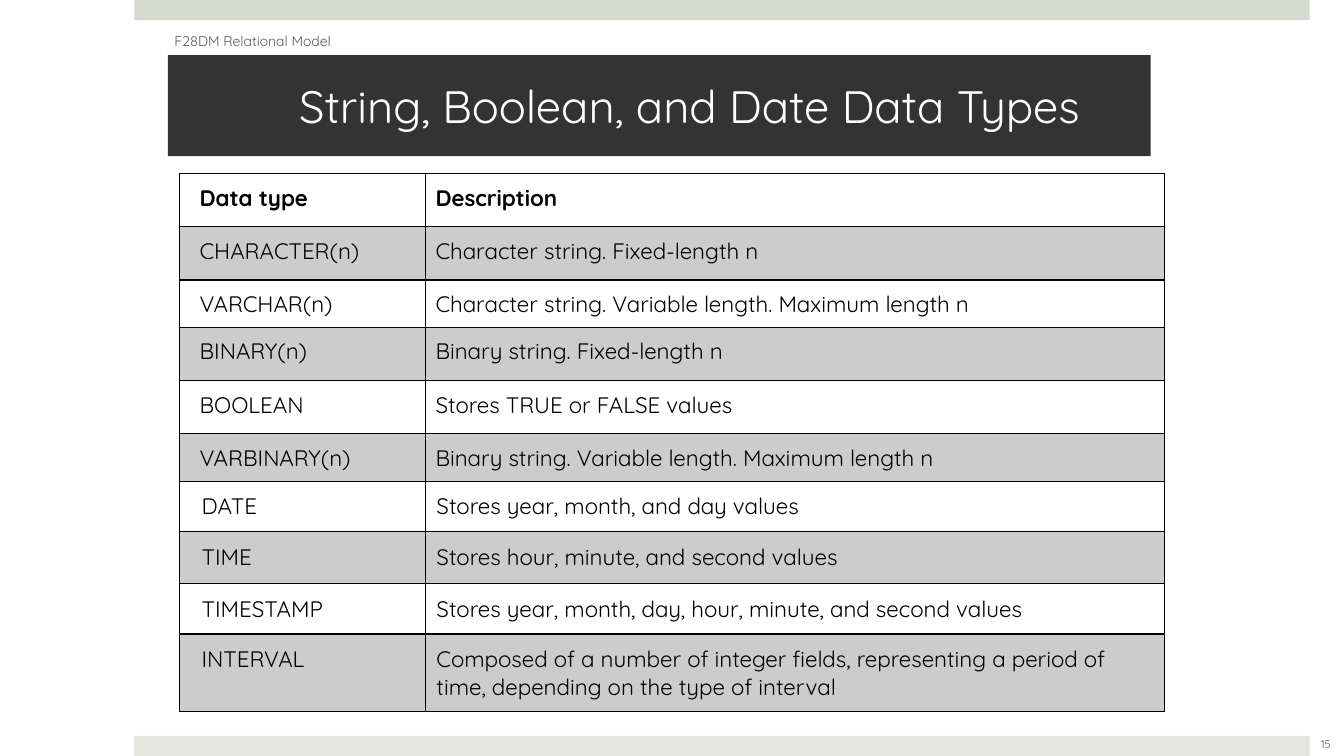
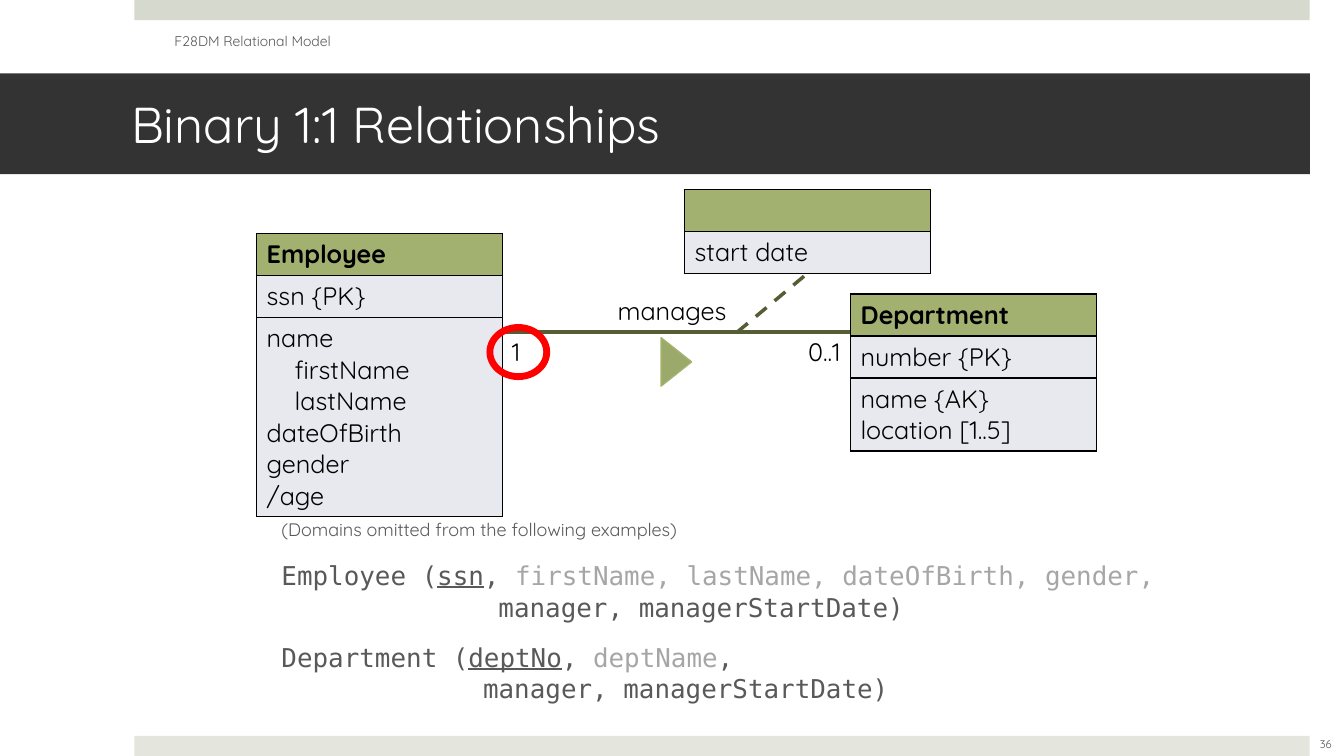
from dataclasses import dataclass

from lxml.etree import SubElement
from pptx import Presentation
from pptx.dml.color import RGBColor
from pptx.enum.dml import MSO_LINE
from pptx.enum.shapes import MSO_CONNECTOR, MSO_SHAPE
from pptx.enum.text import MSO_ANCHOR, PP_ALIGN
from pptx.oxml.ns import qn
from pptx.util import Pt

COLORS = {
    "top": "D6D9CD", "foot": "E4E6DE", "title": "333333",
    "white": "FFFFFF", "black": "000000", "text": "595959",
    "pale": "A6A6A6", "stripe": "CCCCCC",
    "head": "A2B170", "body": "E8E9EF",
    "link": "545D33", "arrow": "9BA96B", "edge": "A3B36E", "ring": "FF0000",
}
SANS, MONO = "Quicksand", "DejaVu Sans Mono"


@dataclass
class Box:
    x: float
    y: float
    w: float
    h: float

    def place(self) -> tuple:
        return Pt(self.x), Pt(self.y), Pt(self.w), Pt(self.h)


@dataclass
class Label:
    text: str
    box: Box
    size: float = 18
    color: str = "black"
    align: PP_ALIGN = PP_ALIGN.LEFT
    anchor: MSO_ANCHOR = MSO_ANCHOR.TOP


@dataclass
class Entity:
    name: str
    x: float
    y: float
    blocks: list  # lists of lines; a leading tab marks a nested line


@dataclass
class Schema:
    head: str
    key: str
    plain: str
    faded: str
    end: str
    tab: float


def tone(name: str) -> RGBColor:
    return RGBColor.from_string(COLORS[name])


def style(para, size: float, color: str, face: str = SANS, bold: bool = False) -> None:
    font = para.font
    font.size, font.name, font.bold = Pt(size), face, bold
    font.color.rgb = tone(color)


def pad(item, left: float, top: float, right: float, foot: float) -> None:
    item.margin_left, item.margin_top = Pt(left), Pt(top)
    item.margin_right, item.margin_bottom = Pt(right), Pt(foot)


def add_form(slide, kind: MSO_SHAPE, box: Box, fill: str, edge: str = ""):
    form = slide.shapes.add_shape(kind, *box.place())
    form.shadow.inherit = False
    form.fill.solid()
    form.fill.fore_color.rgb = tone(fill)
    if edge:
        form.line.color.rgb = tone(edge)
        form.line.width = Pt(1)
    else:
        form.line.fill.background()
    return form


def add_label(slide, label: Label) -> None:
    frame = slide.shapes.add_textbox(*label.box.place()).text_frame
    frame.word_wrap = True
    frame.vertical_anchor = label.anchor
    para = frame.paragraphs[0]
    para.text, para.alignment = label.text, label.align
    style(para, label.size, label.color)


def add_link(slide, start: tuple, end: tuple):
    link = slide.shapes.add_connector(
        MSO_CONNECTOR.STRAIGHT, *(Pt(v) for v in start + end))
    link.line.color.rgb = tone("link")
    link.line.width = Pt(2.5)
    SubElement(link._element.spPr, qn("a:effectLst"))
    return link


def add_grid(slide, x: float, y: float, cols: list, rows: list):
    """Add a plain table without a banded style."""
    frame = slide.shapes.add_table(
        len(rows), len(cols), Pt(x), Pt(y), Pt(sum(cols)), Pt(sum(rows)))
    grid = frame.table
    grid.first_row = grid.horz_banding = False
    for col, width in zip(grid.columns, cols):
        col.width = Pt(width)
    for row, height in zip(grid.rows, rows):
        row.height = Pt(height)
    return frame


def fill_cell(cell, lines: list, size: float, fill: str, bold: bool) -> None:
    """Draw black borders, then the fill and the lines of text."""
    props = cell._tc.get_or_add_tcPr()
    for side in ("lnL", "lnR", "lnT", "lnB"):
        edge = SubElement(props, qn(f"a:{side}"), w=str(Pt(1)))
        paint = SubElement(edge, qn("a:solidFill"))
        SubElement(paint, qn("a:srgbClr"), val=COLORS["black"])
    cell.fill.solid()
    cell.fill.fore_color.rgb = tone(fill)
    frame = cell.text_frame
    for i, line in enumerate(lines):
        para = frame.add_paragraph() if i else frame.paragraphs[0]
        if line.startswith("\t"):
            para._p.get_or_add_pPr().set("marL", str(Pt(20)))
        para.text = line.strip()
        style(para, size, "black", bold=bold)


def add_entity(slide, ent: Entity):
    rows = [30] + [max(30, 22.5 * len(block) + 7.2) for block in ent.blocks]
    frame = add_grid(slide, ent.x, ent.y, [175.5], rows)
    for i, block in enumerate([[ent.name]] + ent.blocks):
        fill_cell(frame.table.cell(i, 0), block, 18,
                  "body" if i else "head", bold=not i)
    return frame


def add_schema(para, schema: Schema) -> None:
    """Write one relation, its second line set by a tab stop."""
    props = para._p.get_or_add_pPr()
    stops = SubElement(props, qn("a:tabLst"))
    SubElement(stops, qn("a:tab"), pos=str(Pt(schema.tab)), algn="l")
    para.space_before = Pt(14)
    style(para, 18.5, "text", MONO)
    para.add_run().text = schema.head
    key = para.add_run()
    key.text, key.font.underline = schema.key, True
    para.add_run().text = schema.plain
    faded = para.add_run()
    faded.text = schema.faded
    faded.font.color.rgb = tone("pale")
    if schema.end:
        para.add_run().text = schema.end
    para.add_line_break()
    para.add_run().text = "\tmanager, managerStartDate)"


def new_slide(deck, title: str, box: Box, size: float, number: int):
    """Start a slide with its bands, title, header and number."""
    slide = deck.slides.add_slide(deck.slide_layouts[6])
    for y, fill in ((0, "top"), (525.6, "foot")):
        add_form(slide, MSO_SHAPE.RECTANGLE, Box(96, y, 839.5, 14.4), fill)
    frame = add_form(slide, MSO_SHAPE.RECTANGLE, box, "title").text_frame
    frame.word_wrap = True
    frame.vertical_anchor = MSO_ANCHOR.MIDDLE
    pad(frame, 93.6, 3.6, 21.6, 3.6)
    para = frame.paragraphs[0]
    para.text, para.alignment = title, PP_ALIGN.LEFT
    style(para, size, "white")
    add_label(slide, Label("F28DM Relational Model", Box(117.5, 15, 304, 29),
                           10, "text", anchor=MSO_ANCHOR.MIDDLE))
    add_label(slide, Label(str(number), Box(923, 517, 48, 29), 8, "text",
                           PP_ALIGN.CENTER, MSO_ANCHOR.MIDDLE))
    return slide


TYPES = [
    ("Data type", "Description", 38),
    ("CHARACTER(n)", "Character string. Fixed-length n", 38),
    ("VARCHAR(n)", "Character string. Variable length. Maximum length n", 34),
    ("BINARY(n)", "Binary string. Fixed-length n", 38),
    ("BOOLEAN", "Stores TRUE or FALSE values", 38),
    ("VARBINARY(n)", "Binary string. Variable length. Maximum length n", 34),
    ("DATE", "Stores year, month, and day values", 36),
    ("TIME", "Stores hour, minute, and second values", 37),
    ("TIMESTAMP", "Stores year, month, day, hour, minute, and second values", 36),
    ("INTERVAL", "Composed of a number of integer fields, representing a period "
     "of time, depending on the type of interval", 55.5),
]
SCHEMAS = [
    Schema("Employee (", "ssn", ", ",
           "firstName, lastName, dateOfBirth, gender,", "", 155),
    Schema("Department (", "deptNo", ", ", "deptName", ",", 144),
]


def draw_types(deck) -> None:
    slide = new_slide(deck, "String, Boolean, and Date Data Types",
                      Box(120, 39.5, 702, 72), 32.4, 15)
    grid = add_grid(slide, 128.2, 124, [175.7, 527.8],
                    [row[2] for row in TYPES]).table
    for i, row in enumerate(TYPES):
        gap = 7.2 if i < 6 else 7.9
        for j, text in enumerate(row[:2]):
            cell = grid.cell(i, j)
            fill_cell(cell, [text], 16, "stripe" if i % 2 else "white", not i)
            pad(cell, gap if j else 2 * gap, gap, gap, gap)


def draw_binary(deck) -> None:
    slide = new_slide(deck, "Binary 1:1 Relationships",
                      Box(0, 52.4, 935.7, 72), 36, 36)

    # Relations
    frame = slide.shapes.add_textbox(*Box(194, 367, 657, 156).place()).text_frame
    frame.word_wrap = True
    note = frame.paragraphs[0]
    note.text = "(Domains omitted from the following examples)"
    style(note, 12.9, "text")
    for schema in SCHEMAS:
        add_schema(frame.add_paragraph(), schema)

    # Entities
    add_entity(slide, Entity("Department", 607.5, 210, [
        ["number {PK}"], ["name {AK}", "location [1..5]"]]))
    add_entity(slide, Entity("Employee", 183.3, 166.7, [
        ["ssn {PK}"],
        ["name", "\tfirstName", "\tlastName", "dateOfBirth", "gender", "/age"]]))
    start = add_entity(slide, Entity("", 489, 135.3, [["start date"]]))

    # Links and labels
    add_link(slide, (358.8, 237.3), (607.5, 237.3))
    arrow = add_form(slide, MSO_SHAPE.ISOSCELES_TRIANGLE,
                     Box(465.8, 247.6, 34.6, 21.8), "arrow", "edge")
    arrow.rotation = 90
    for label in (
        Label("manages", Box(434, 207.5, 99, 29)),
        Label("1", Box(358.5, 237, 34, 29)),
        Label("0..1", Box(563, 237, 44.5, 29), align=PP_ALIGN.RIGHT),
    ):
        add_label(slide, label)
    dash = add_link(slide, (526.5, 237.3), (576.8, 195))
    dash.line.dash_style = MSO_LINE.DASH
    dash.end_connect(start, 2)
    ring = add_form(slide, MSO_SHAPE.DONUT, Box(348, 232, 44.5, 39), "ring", "ring")
    ring.adjustments[0] = 0.1


def main() -> None:
    deck = Presentation()
    deck.slide_width, deck.slide_height = Pt(960), Pt(540)
    draw_types(deck)
    draw_binary(deck)
    deck.save("out.pptx")


if __name__ == "__main__":
    main()
